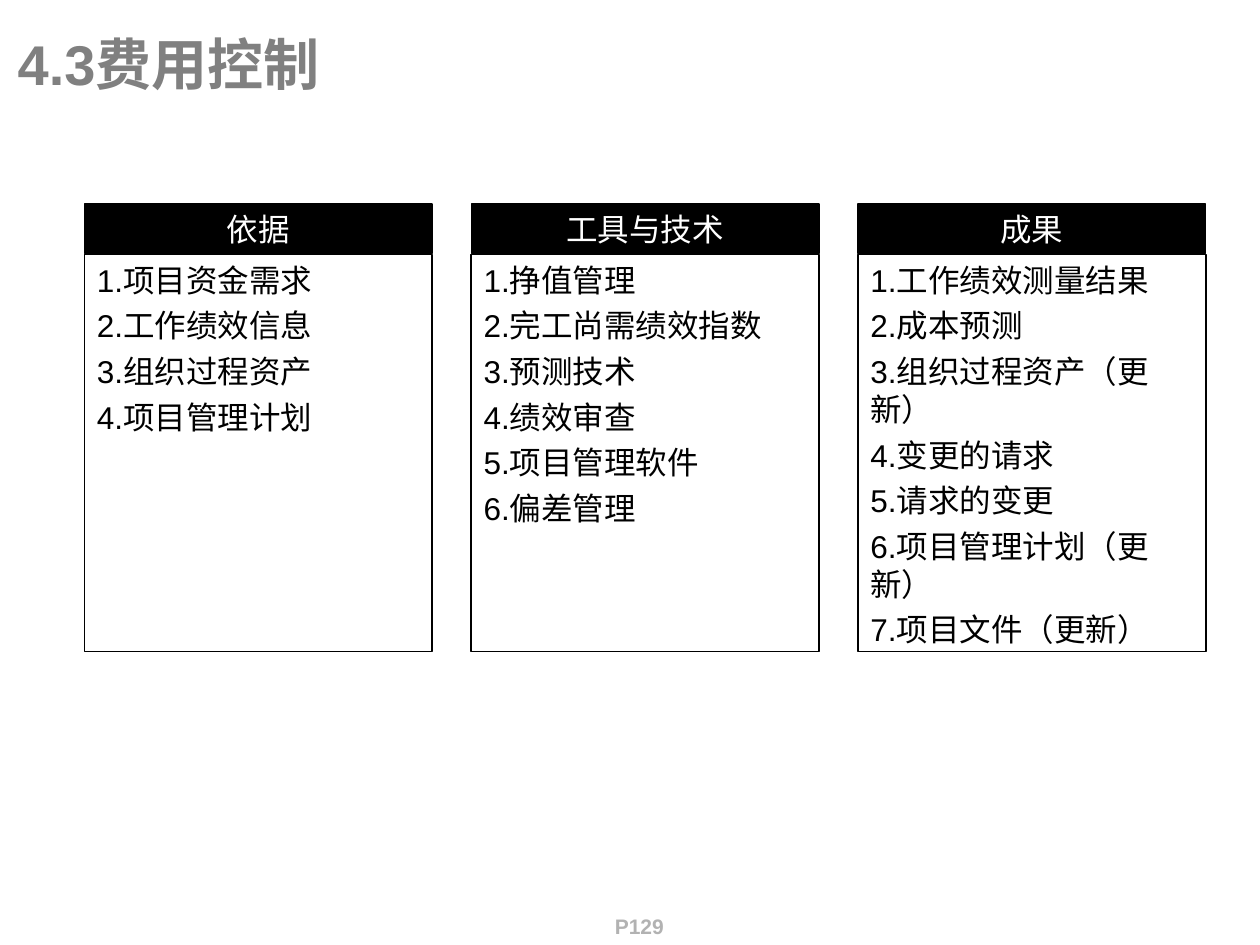
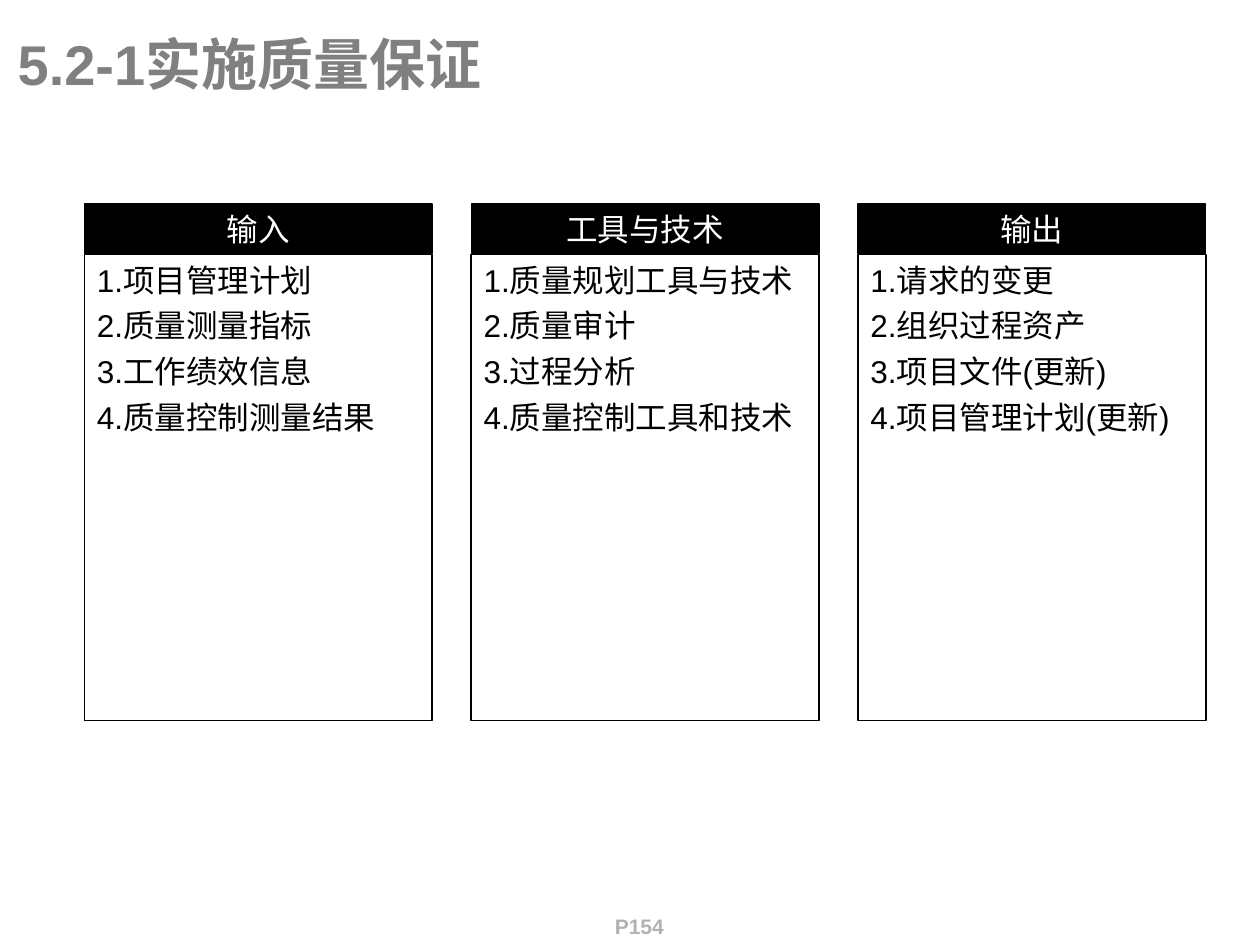
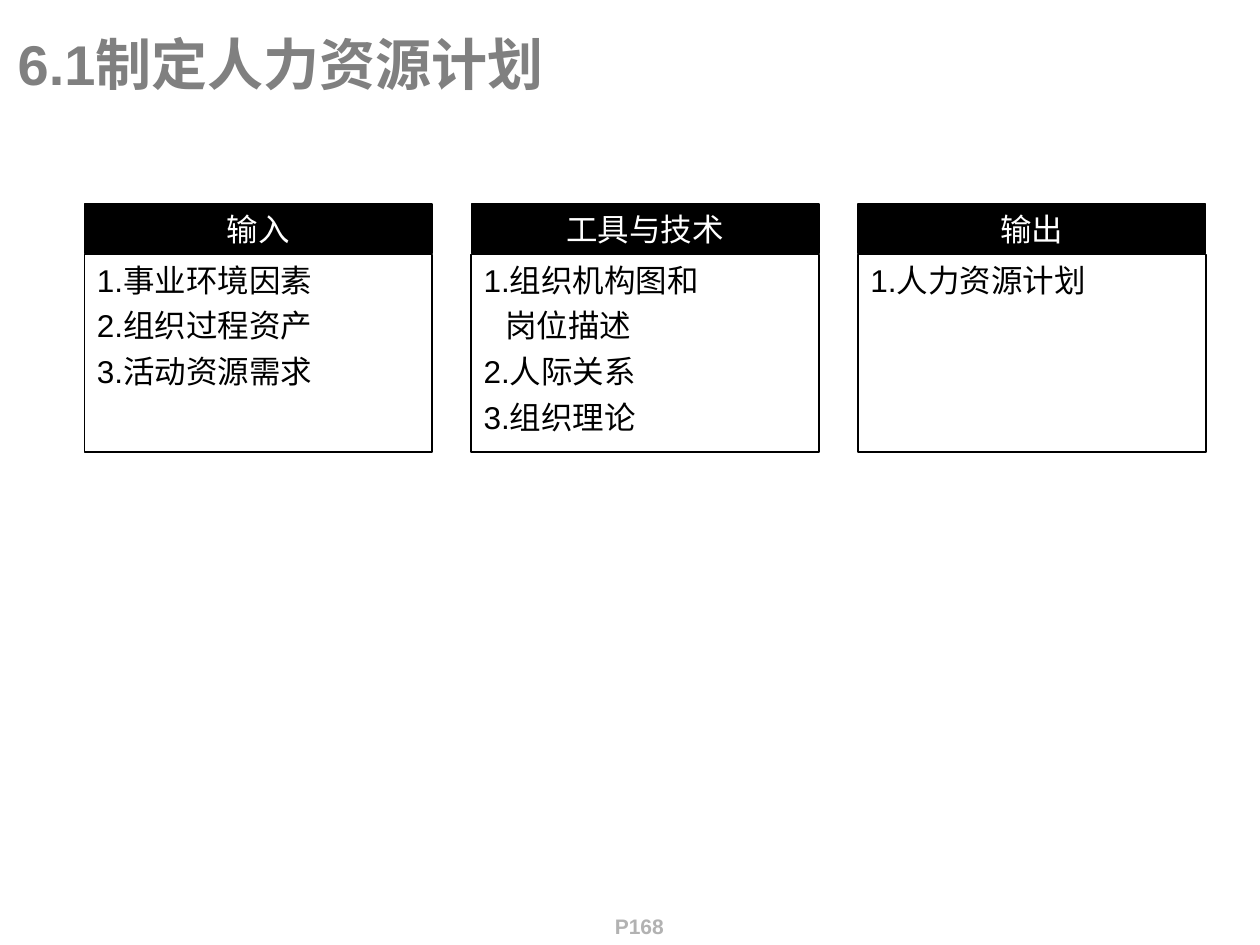
from pptx import Presentation
from pptx.dml.color import RGBColor
from pptx.enum.shapes import MSO_SHAPE
from pptx.enum.text import MSO_ANCHOR, PP_ALIGN
from pptx.util import Inches, Pt

RECTANGLE = MSO_SHAPE.RECTANGLE
TOP, MIDDLE = MSO_ANCHOR.TOP, MSO_ANCHOR.MIDDLE
LEFT, CENTER = PP_ALIGN.LEFT, PP_ALIGN.CENTER

FONT = "Arial"
COLORS = {"title": "808080", "footer": "B2B2B2", "black": "000000", "white": "FFFFFF"}

# Column grid
FIRST_LEFT, COLUMN_STEP, COLUMN_WIDTH = 0.67, 3.07, 2.76
HEADER_TOP, HEADER_HEIGHT = 1.62, 0.39
LIST_TOP = 2.02

# Lines that continue the item above
CONTINUATIONS = {"岗位描述"}

# Title, footer, list height, columns (heading and items)
PAGES = [
    ("4.3费用控制", "P129", 3.15, [
        ("依据", ["1.项目资金需求", "2.工作绩效信息", "3.组织过程资产", "4.项目管理计划"]),
        ("工具与技术", ["1.挣值管理", "2.完工尚需绩效指数", "3.预测技术",
                   "4.绩效审查", "5.项目管理软件", "6.偏差管理"]),
        ("成果", ["1.工作绩效测量结果", "2.成本预测", "3.组织过程资产（更新）", "4.变更的请求",
                "5.请求的变更", "6.项目管理计划（更新）", "7.项目文件（更新）"]),
    ]),
    ("5.2-1实施质量保证", "P154", 3.7, [
        ("输入", ["1.项目管理计划", "2.质量测量指标", "3.工作绩效信息", "4.质量控制测量结果"]),
        ("工具与技术", ["1.质量规划工具与技术", "2.质量审计", "3.过程分析", "4.质量控制工具和技术"]),
        ("输出", ["1.请求的变更", "2.组织过程资产", "3.项目文件(更新)", "4.项目管理计划(更新)"]),
    ]),
    ("6.1制定人力资源计划", "P168", 1.57, [
        ("输入", ["1.事业环境因素", "2.组织过程资产", "3.活动资源需求"]),
        ("工具与技术", ["1.组织机构图和", "岗位描述", "2.人际关系", "3.组织理论"]),
        ("输出", ["1.人力资源计划"]),
    ]),
]


def write_lines(box, lines, size, color, align=LEFT, anchor=TOP, bold=False):
    """Fill a box with one formatted paragraph per line."""
    frame = box.text_frame
    frame.word_wrap = True
    frame.vertical_anchor = anchor
    for number, line in enumerate(lines):
        para = frame.add_paragraph() if number else frame.paragraphs[0]
        para.text = line
        para.alignment = align
        if number:
            para.space_before = Pt(4.5)
        if line in CONTINUATIONS:
            para._p.get_or_add_pPr().set("marL", str(Inches(0.17)))
        para.font.name = FONT
        para.font.size = Pt(size)
        para.font.bold = bold
        para.font.color.rgb = RGBColor.from_string(COLORS[color])


def add_rectangle(page, left, top, height, line_width):
    """Add a column rectangle with a black outline and no fill."""
    box = page.shapes.add_shape(RECTANGLE, Inches(left), Inches(top),
                                Inches(COLUMN_WIDTH), Inches(height))
    box.shadow.inherit = False
    box.fill.background()
    box.line.color.rgb = RGBColor.from_string(COLORS["black"])
    box.line.width = Pt(line_width)
    return box


deck = Presentation()
deck.slide_width, deck.slide_height = Inches(10), Inches(7.5)
title_only = deck.slide_layouts[5]

for title_text, footer_text, list_height, columns in PAGES:
    page = deck.slides.add_slide(title_only)

    # Footer
    footer = page.shapes.add_textbox(Inches(4.76), Inches(7.2), Inches(0.63), Inches(0.33))
    write_lines(footer, [footer_text], 12, "footer", align=CENTER, bold=True)

    # Title
    title = page.shapes.title
    title.left, title.top = Inches(0.04), Inches(0.17)
    title.width, title.height = Inches(9.96), Inches(0.66)
    write_lines(title, [title_text], 32, "title", anchor=MIDDLE, bold=True)

    # Columns
    for index, (heading, items) in enumerate(columns):
        left = FIRST_LEFT + index * COLUMN_STEP
        header = add_rectangle(page, left, HEADER_TOP, HEADER_HEIGHT, 0.75)
        header.fill.solid()
        header.fill.fore_color.rgb = RGBColor.from_string(COLORS["black"])
        write_lines(header, [heading], 18, "white", align=CENTER)

        item_list = add_rectangle(page, left, LIST_TOP, list_height, 1)
        write_lines(item_list, items, 18, "black")

deck.save("out.pptx")
